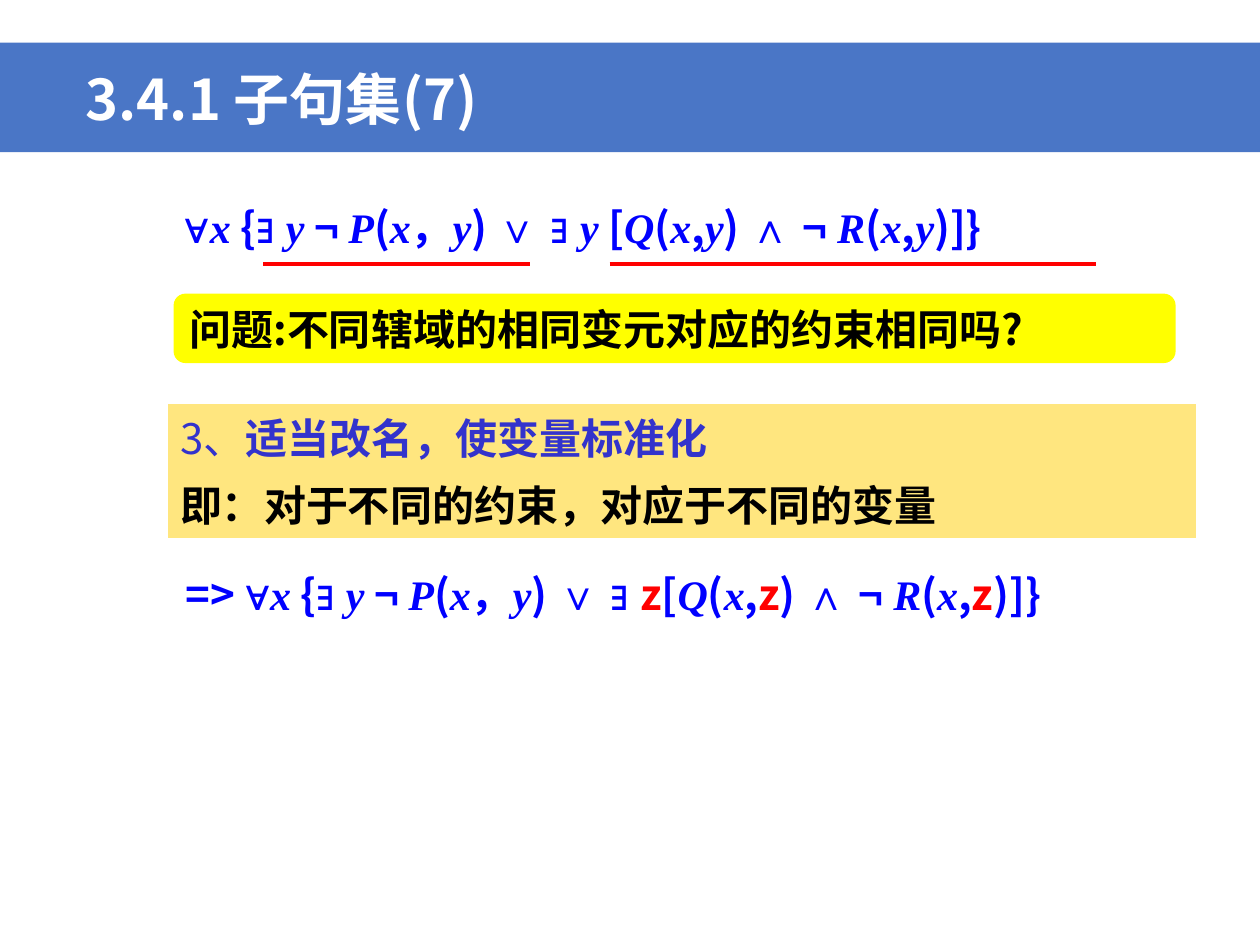
import itertools
import lxml.etree
import pptx
import pptx.dml.color
import pptx.enum.shapes
import pptx.enum.text
import pptx.oxml.ns
import pptx.util

Cm = pptx.util.Cm
Pt = pptx.util.Pt
SHAPES = pptx.enum.shapes.MSO_SHAPE
ANCHOR = pptx.enum.text.MSO_ANCHOR
LEFT = pptx.enum.text.PP_ALIGN.LEFT
qn = pptx.oxml.ns.qn

COLORS = {"band": "4A76C6", "white": "FFFFFF", "formula": "0000FF", "red": "FF0000",
          "yellow": "FFFF00", "amber": "FFCF01", "step": "3333CC", "black": "000000"}
RGB = {name: pptx.dml.color.RGBColor.from_string(code) for name, code in COLORS.items()}
CJK = "Noto Sans CJK SC"


def style_run(run, color, font=CJK, size=24, bold=True, italic=False):
    run.font.name = font
    run.font.size = Pt(size)
    run.font.bold = bold
    run.font.italic = italic
    run.font.color.rgb = RGB[color]
    east_asian = lxml.etree.SubElement(run.font._element, qn("a:ea"))
    east_asian.set("typeface", font)


def write_formula(paragraph, formula):
    styles = []
    for character in formula:
        if character == "z":
            styles.append(("red", CJK))
        elif character in "xyPQR":
            styles.append(("formula", "Times New Roman"))
        elif character in "∀∃∨∧":
            styles.append(("formula", "Arial"))
        elif character == " " and styles and styles[-1][1] == "Arial":
            styles.append(styles[-1])
        else:
            styles.append(("formula", CJK))
    for (color, font), group in itertools.groupby(zip(styles, formula), key=lambda pair: pair[0]):
        run = paragraph.add_run()
        run.text = "".join(character for _, character in group)
        style_run(run, color, font, italic=font == "Times New Roman")


presentation = pptx.Presentation()
presentation.slide_width = Cm(25.4)
presentation.slide_height = Cm(19.05)
slide = presentation.slides.add_slide(presentation.slide_layouts[5])
shapes = slide.shapes

title = shapes.title
title.left, title.top, title.width, title.height = Cm(1.47), Cm(0.86), Cm(21.64), Cm(1.93)
title.text_frame.text = "3.4.1 子句集(7)"
title.text_frame.vertical_anchor = ANCHOR.BOTTOM
title.text_frame.paragraphs[0].alignment = LEFT
style_run(title.text_frame.paragraphs[0].runs[0], "white", size=32)

panels = []
for kind, left, top, width, height, fill, outline in [
    (SHAPES.RECTANGLE, 0, 0.86, 25.4, 2.21, "band", None),
    (SHAPES.RECTANGLE, 3.5, 11.33, 20.75, 1.27, None, "white"),
    (SHAPES.RECTANGLE, 3.38, 8.13, 20.75, 2.74, "amber", "white"),
    (SHAPES.ROUNDED_RECTANGLE, 3.5, 5.92, 20.2, 1.4, "yellow", None),
]:
    panel = shapes.add_shape(kind, Cm(left), Cm(top), Cm(width), Cm(height))
    panel.shadow.inherit = False
    if fill:
        panel.fill.solid()
        panel.fill.fore_color.rgb = RGB[fill]
    else:
        panel.fill.background()
    if outline:
        panel.line.color.rgb = RGB[outline]
        panel.line.width = Pt(0.75)
    else:
        panel.line.fill.background()
    panel.text_frame.vertical_anchor = ANCHOR.MIDDLE
    panel.text_frame.paragraphs[0].alignment = LEFT
    panels.append(panel)
band, result, step, question = panels
shapes._spTree.insert(2, band._element)

amber = step.fill._xPr.find(qn("a:solidFill")).find(qn("a:srgbClr"))
lxml.etree.SubElement(amber, qn("a:alpha")).set("val", "50000")

write_formula(result.text_frame.paragraphs[0], "=> ∀x {∃ y ¬ P(x，y) ∨ ∃ z[Q(x,z) ∧ ¬ R(x,z)]}")

heading = step.text_frame.paragraphs[0]
for text, bold in [("3、", False), ("适当改名，使变量标准化", True)]:
    run = heading.add_run()
    run.text = text
    style_run(run, "step", bold=bold)
meaning = step.text_frame.add_paragraph()
meaning.text = "即：对于不同的约束，对应于不同的变量"
meaning.alignment = LEFT
meaning.space_before = Pt(9)
style_run(meaning.runs[0], "black")

question.adjustments[0] = 0.17
question_line = question.text_frame.paragraphs[0]
question_line.text = "问题:不同辖域的相同变元对应的约束相同吗?"
style_run(question_line.runs[0], "black")

premise = shapes.add_textbox(Cm(3.48), Cm(3.94), Cm(19.5), Cm(1.27))
premise.text_frame.word_wrap = True
write_formula(premise.text_frame.paragraphs[0], "∀x {∃ y ¬ P(x，y) ∨ ∃ y [Q(x,y) ∧ ¬ R(x,y)]}")

for start, end in [(12.29, 22.1), (5.31, 10.69)]:
    underline = shapes.add_connector(pptx.enum.shapes.MSO_CONNECTOR.STRAIGHT,
                                     Cm(start), Cm(5.33), Cm(end), Cm(5.33))
    underline.line.color.rgb = RGB["red"]
    underline.line.width = Pt(2.25)
    lxml.etree.SubElement(underline._element.spPr, qn("a:effectLst"))

presentation.save("out.pptx")
